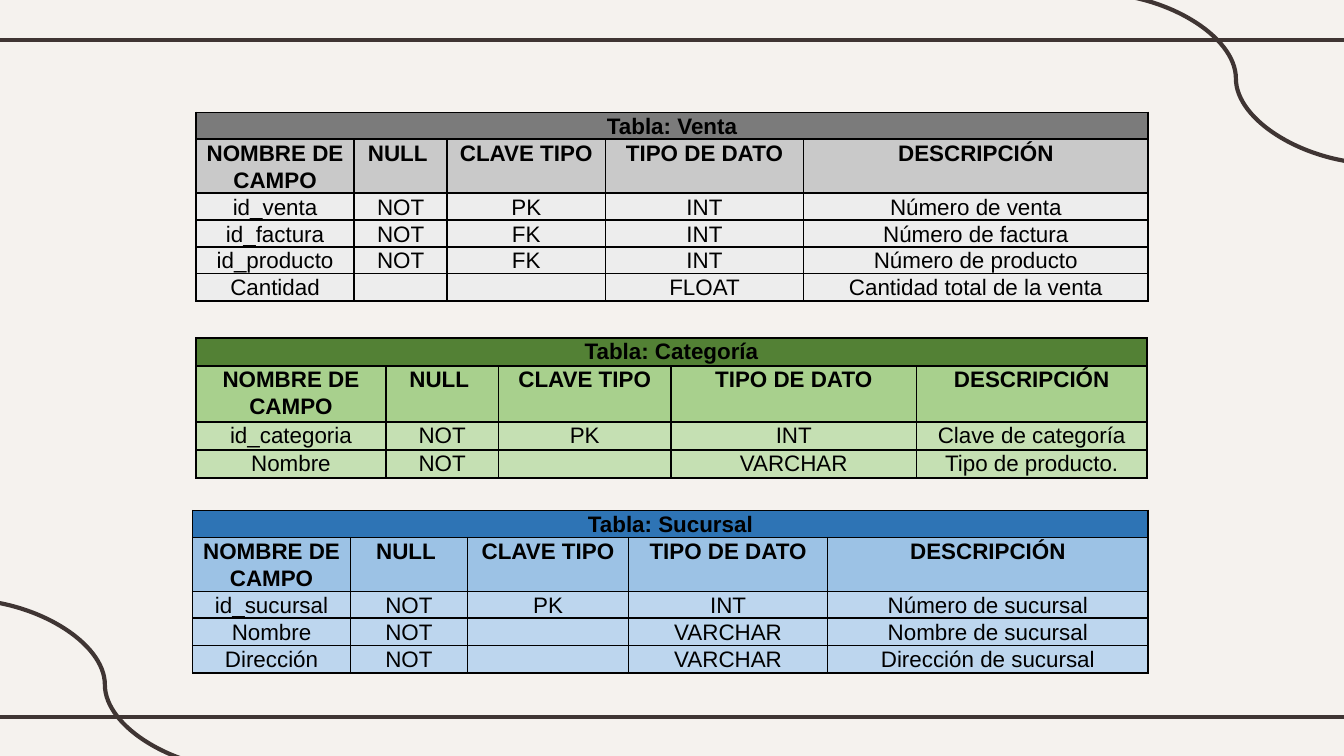
import pptx
import pptx.dml.color
import pptx.enum.shapes
import pptx.enum.text
import pptx.oxml.ns
import pptx.util
import lxml.etree

Pt = pptx.util.Pt
RGBColor = pptx.dml.color.RGBColor
Connector = pptx.enum.shapes.MSO_CONNECTOR
qn = pptx.oxml.ns.qn

CREAM = RGBColor(0xF5, 0xF2, 0xEE)
BROWN = RGBColor(0x3F, 0x35, 0x33)
BLACK = RGBColor(0, 0, 0)
GREYS = [RGBColor(0x7B, 0x7B, 0x7B), RGBColor(0xC9, 0xC9, 0xC9), RGBColor(0xED, 0xED, 0xED)]
GREENS = [RGBColor(0x53, 0x81, 0x35), RGBColor(0xA8, 0xD0, 0x8D), RGBColor(0xC5, 0xE0, 0xB3)]
BLUES = [RGBColor(0x2E, 0x74, 0xB5), RGBColor(0x9C, 0xC2, 0xE5), RGBColor(0xBD, 0xD6, 0xEE)]

WIDTH, HEIGHT = 720, 405
HEADERS = ["NOMBRE DE CAMPO", "NULL ", "CLAVE TIPO", "TIPO DE DATO", "DESCRIPCIÓN"]
TABLES = [
    {
        "title": "Tabla: Venta", "left": 105, "top": 60.2, "line_height": 14.4,
        "widths": [84.8, 49.8, 84.8, 106.2, 184.6], "colors": GREYS,
        "fields": [
            ["id_venta", "NOT", "PK", "INT", "Número de venta"],
            ["id_factura", "NOT", "FK", "INT", "Número de factura"],
            ["id_producto", "NOT", "FK", "INT", "Número de producto"],
            ["Cantidad", "", "", "FLOAT", "Cantidad total de la venta"],
        ],
    },
    {
        "title": "Tabla: Categoría", "left": 105, "top": 181, "line_height": 15,
        "widths": [101.8, 60.2, 92.6, 131.4, 123.6], "colors": GREENS,
        "fields": [
            ["id_categoria", "NOT", "PK", "INT", "Clave de categoría"],
            ["Nombre", "NOT", "", "VARCHAR", "Tipo de producto."],
        ],
    },
    {
        "title": "Tabla: Sucursal", "left": 103.2, "top": 273.6, "line_height": 14.4,
        "widths": [84.6, 62.6, 86.4, 106.6, 171.8], "colors": BLUES,
        "fields": [
            ["id_sucursal", "NOT", "PK", "INT", "Número de sucursal"],
            ["Nombre", "NOT", "", "VARCHAR", "Nombre de sucursal"],
            ["Dirección", "NOT", "", "VARCHAR", "Dirección de sucursal"],
        ],
    },
]
DECORATIONS = [
    (Connector.STRAIGHT, -6, 21.5, 726, 21.5),
    (Connector.STRAIGHT, -6, 384, 726, 384),
    (Connector.CURVE, -19.6, 321.2, 132, 412.6),
    (Connector.CURVE, 586.2, -3.6, 738, 87.8),
]


def add_decoration(page, kind, *ends):
    line = page.shapes.add_connector(kind, *[Pt(value) for value in ends])
    line.line.color.rgb = BROWN
    line.line.width = Pt(2.25)
    lxml.etree.SubElement(line._element.spPr, qn("a:effectLst"))


def add_borders(cell):
    properties = cell._tc.get_or_add_tcPr()
    for side in ("a:lnL", "a:lnR", "a:lnT", "a:lnB"):
        border = lxml.etree.SubElement(properties, qn(side), w=str(Pt(1)))
        fill = lxml.etree.SubElement(border, qn("a:solidFill"))
        lxml.etree.SubElement(fill, qn("a:srgbClr"), val=str(BLACK))


def write_text(cell, text, bold=False, size=12, font="Arial", color=BLACK):
    para = cell.text_frame.paragraphs[0]
    para.alignment = pptx.enum.text.PP_ALIGN.CENTER
    para.line_spacing = 1.07
    para.space_after = Pt(8)
    if not text:
        lxml.etree.SubElement(para._p, qn("a:endParaRPr"), sz=str(size * 100))
        return
    span = para.add_run()
    span.text = text
    span.font.size = Pt(size)
    span.font.name = font
    span.font.bold = bold
    span.font.color.rgb = color


def add_field_table(page, title, left, top, line_height, widths, colors, fields):
    rows = [[title] + [""] * (len(HEADERS) - 1), HEADERS] + fields
    heights = [line_height * (2 if row is HEADERS else 1) for row in rows]
    frame = page.shapes.add_table(len(rows), len(widths), Pt(left), Pt(top),
                                  Pt(sum(widths)), Pt(sum(heights)))
    table = frame.table
    table.first_row = table.horz_banding = False
    for column, width in zip(table.columns, widths):
        column.width = Pt(width)
    for index, (row, height) in enumerate(zip(rows, heights)):
        table.rows[index].height = Pt(height)
        for cell, text in zip(table.rows[index].cells, row):
            cell.margin_left = cell.margin_right = Pt(5)
            cell.margin_top = cell.margin_bottom = 0
            add_borders(cell)
            cell.fill.solid()
            cell.fill.fore_color.rgb = colors[min(index, 2)]
            write_text(cell, text, bold=index < 2)
    table.cell(0, 0).merge(table.cell(0, len(widths) - 1))


def main():
    deck = pptx.Presentation()
    deck.slide_width, deck.slide_height = Pt(WIDTH), Pt(HEIGHT)
    page = deck.slides.add_slide(deck.slide_layouts[6])
    page.background.fill.solid()
    page.background.fill.fore_color.rgb = CREAM
    for decoration in DECORATIONS:
        add_decoration(page, *decoration)
    for table in TABLES:
        add_field_table(page, **table)
    deck.save("out.pptx")


if __name__ == "__main__":
    main()
